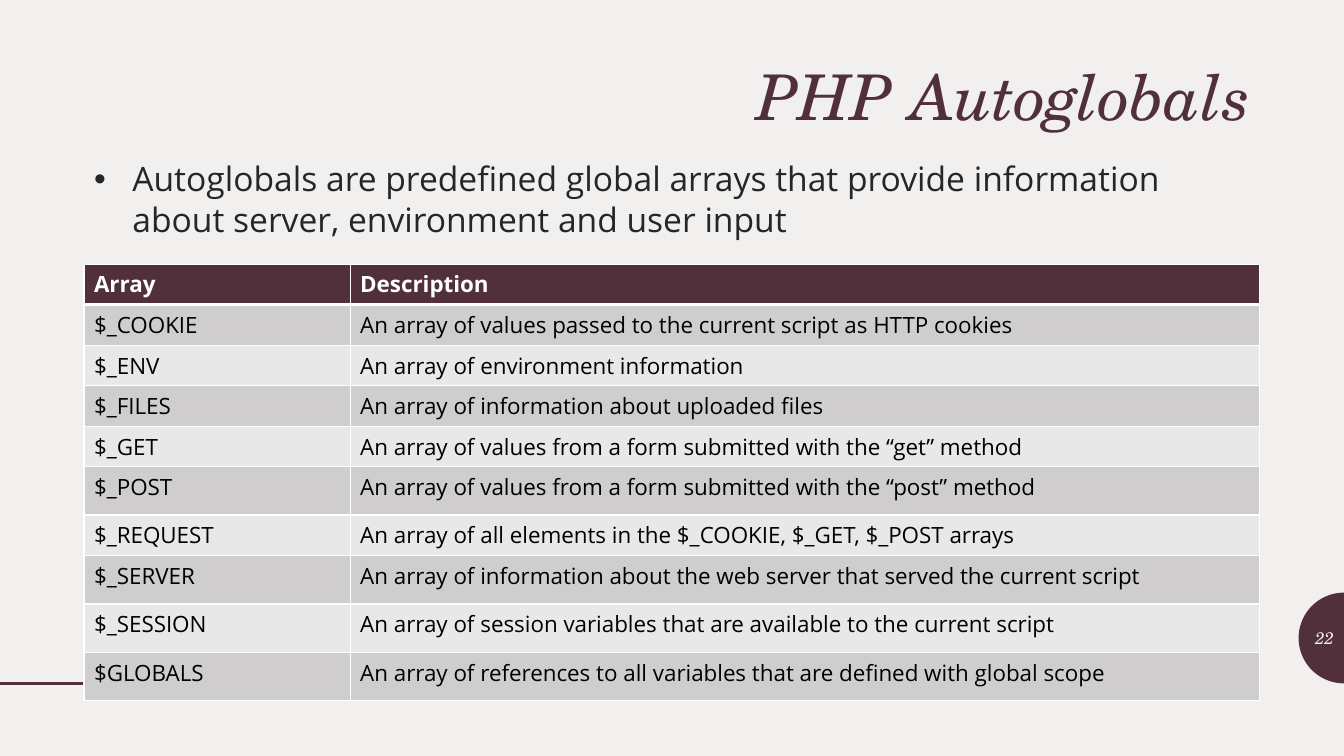
"""Build the PHP Autoglobals slide with its table of predefined arrays."""
import math

import lxml.etree
import pptx
import pptx.dml.color
import pptx.enum.text
import pptx.oxml.ns
import pptx.util

WIDTH, HEIGHT = 13.33, 7.5
MARGIN = WIDTH / 16
CONTENT = WIDTH - 2 * MARGIN
RADIUS = 0.45
BADGE_CENTRE = 6.33
TABLE_TOP = 2.62
COLUMNS = (2.64, 9.02)
SHORT_ROW, TALL_ROW = 0.4, 0.48
TALL_ARRAYS = {"$_POST", "$_SERVER", "$_SESSION", "$GLOBALS"}
SANS, SERIF = "Open Sans", "TeX Gyre Schola"
COLOURS = {
    "paper": "F2F0EF",
    "plum": "51303B",
    "body": "262626",
    "cell": "000000",
    "white": "FFFFFF",
    "dark band": "D0CDCE",
    "light band": "E9E8E8",
}
ROWS = [
    ("Array", "Description"),
    ("$_COOKIE", "An array of values passed to the current script as HTTP cookies"),
    ("$_ENV", "An array of environment information"),
    ("$_FILES", "An array of information about uploaded files"),
    ("$_GET", "An array of values from a form submitted with the “get” method"),
    ("$_POST", "An array of values from a form submitted with the “post” method"),
    ("$_REQUEST", "An array of all elements in the $_COOKIE, $_GET, $_POST arrays"),
    ("$_SERVER", "An array of information about the web server that served the current script"),
    ("$_SESSION", "An array of session variables that are available to the current script"),
    ("$GLOBALS", "An array of references to all variables that are defined with global scope"),
]


def inches(*lengths):
    """Convert lengths in inches to slide units."""
    return [pptx.util.Inches(length) for length in lengths]


def colour(name):
    """Look up a named colour."""
    return pptx.dml.color.RGBColor.from_string(COLOURS[name])


def paint(fill, name):
    """Make a fill solid in a named colour."""
    fill.solid()
    fill.fore_color.rgb = colour(name)


def style(para, face, size, name, bold=False, italic=False):
    """Set the font of a whole paragraph."""
    font = para.font
    font.name, font.size = face, pptx.util.Pt(size)
    font.bold, font.italic = bold, italic
    font.color.rgb = colour(name)


def write(box, text, place, anchor):
    """Place a text shape, fill in its words and return the paragraph."""
    box.left, box.top, box.width, box.height = inches(*place)
    frame = box.text_frame
    frame.text = text
    frame.word_wrap = True
    frame.auto_size = pptx.enum.text.MSO_AUTO_SIZE.NONE
    frame.vertical_anchor = anchor
    return frame.paragraphs[0]


def add_rule(page):
    """Draw the line that runs in from the left edge."""
    level = BADGE_CENTRE + RADIUS
    rule = page.shapes.add_connector(1, *inches(0, level, 4.92, level))
    rule.line.color.rgb = colour("plum")
    rule.line.width = pptx.util.Pt(2)
    properties = rule.element.spPr
    lxml.etree.SubElement(properties, pptx.oxml.ns.qn("a:effectLst"))


def add_badge(page, number):
    """Draw the half disc on the right edge with the page number."""
    angles = [math.pi * (0.5 + step / 48) for step in range(49)]
    points = [
        inches(WIDTH + RADIUS * math.cos(angle), BADGE_CENTRE - RADIUS * math.sin(angle))
        for angle in angles
    ]
    builder = page.shapes.build_freeform(*points[0], scale=1.0)
    builder.add_line_segments(points[1:], close=True)
    disc = builder.convert_to_shape()
    disc.shadow.inherit = False
    paint(disc.fill, "plum")
    disc.line.fill.background()

    place = (WIDTH - RADIUS, BADGE_CENTRE - 0.2, RADIUS, 0.4)
    box = page.shapes.add_textbox(*inches(*place))
    para = write(box, number, place, pptx.enum.text.MSO_ANCHOR.MIDDLE)
    para.alignment = pptx.enum.text.PP_ALIGN.RIGHT
    style(para, SERIF, 12, "paper", italic=True)


def add_title(page, text):
    """Fill in the title placeholder."""
    place = (MARGIN, 0.61, CONTENT, 0.76)
    para = write(page.shapes.title, text, place, pptx.enum.text.MSO_ANCHOR.MIDDLE)
    para.alignment = pptx.enum.text.PP_ALIGN.RIGHT
    para.line_spacing = 0.9
    style(para, SERIF, 45, "plum", italic=True)


def add_bullet(page, text):
    """Fill in the body placeholder with one bullet."""
    place = (MARGIN, 1.52, CONTENT, 5.14)
    para = write(page.placeholders[1], text, place, pptx.enum.text.MSO_ANCHOR.TOP)
    para.line_spacing = 1.0
    para.space_before = pptx.util.Pt(0)
    style(para, SANS, 24, "body")
    indent = pptx.util.Inches(0.38)
    properties = para._p.get_or_add_pPr()
    properties.set("marL", str(indent))
    properties.set("indent", str(-indent))


def add_borders(cell, bottom):
    """Give a cell white borders, with its own width at the bottom."""
    properties = cell._tc.get_or_add_tcPr()
    for place, (side, width) in enumerate(zip("LRTB", (1, 1, 1, bottom))):
        border = properties.makeelement(
            pptx.oxml.ns.qn(f"a:ln{side}"), {"w": str(pptx.util.Pt(width))}
        )
        fill = lxml.etree.SubElement(border, pptx.oxml.ns.qn("a:solidFill"))
        lxml.etree.SubElement(fill, pptx.oxml.ns.qn("a:srgbClr"), val=COLOURS["white"])
        properties.insert(place, border)


def add_array_table(page):
    """Add the banded table of arrays and descriptions."""
    heights = [TALL_ROW if name in TALL_ARRAYS else SHORT_ROW for name, _ in ROWS]
    place = inches(MARGIN, TABLE_TOP, sum(COLUMNS), sum(heights))
    table = page.shapes.add_table(len(ROWS), len(COLUMNS), *place).table
    for column, width in zip(table.columns, COLUMNS):
        column.width = pptx.util.Inches(width)
    for index, (row, height, texts) in enumerate(zip(table.rows, heights, ROWS)):
        row.height = pptx.util.Inches(height)
        header = index == 0
        band = "plum" if header else "dark band" if index % 2 else "light band"
        for cell, text in zip(row.cells, texts):
            cell.text = text
            paint(cell.fill, band)
            style(cell.text_frame.paragraphs[0], SANS, 16,
                  "white" if header else "cell", bold=header)
            add_borders(cell, 3 if header else 1)


def main():
    """Build and save the deck."""
    deck = pptx.Presentation()
    deck.slide_width, deck.slide_height = inches(WIDTH, HEIGHT)
    page = deck.slides.add_slide(deck.slide_layouts[1])
    paint(page.background.fill, "paper")
    add_rule(page)
    add_badge(page, "22")
    add_title(page, "PHP Autoglobals")
    add_bullet(page, "Autoglobals are predefined global arrays that provide "
                     "information about server, environment and user input")
    add_array_table(page)
    deck.save("out.pptx")


if __name__ == "__main__":
    main()
